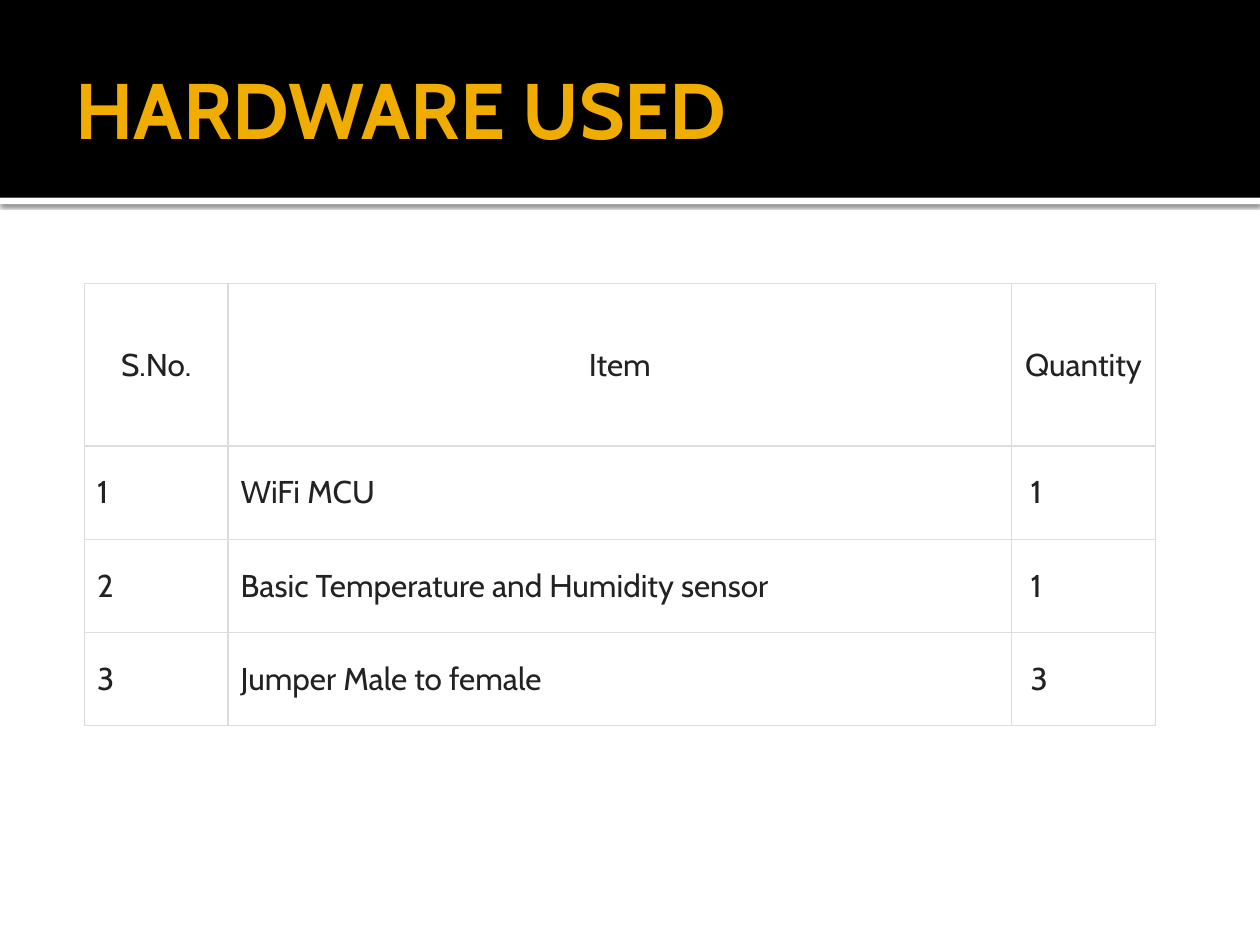
from lxml import etree
from pptx import Presentation
from pptx.dml.color import RGBColor
from pptx.enum.shapes import MSO_SHAPE as Shape
from pptx.enum.text import MSO_ANCHOR as Anchor, PP_ALIGN as Align
from pptx.oxml import parse_xml
from pptx.oxml.ns import nsdecls, qn
from pptx.util import Inches, Pt


def color(value):
    return RGBColor.from_string(value)


def write(frame, text, size=18, fill="222222", bold=False, align=Align.LEFT):
    paragraph = frame.paragraphs[0]
    paragraph.alignment = align
    run = paragraph.add_run()
    run.text = text
    run.font.name = "Cabin"
    run.font.size = Pt(size)
    run.font.bold = bold
    run.font.color.rgb = color(fill)


prs = Presentation()
prs.slide_width, prs.slide_height = Inches(10), Inches(7.5)
slide = prs.slides.add_slide(prs.slide_layouts[5])

heading = slide.shapes.title
for top, height, fill in [(1.57, 0.05, "FFFFFF"), (0, 1.57, "000000")]:
    band = slide.shapes.add_shape(Shape.RECTANGLE, 0, Inches(top), Inches(10), Inches(height))
    band.fill.solid()
    band.fill.fore_color.rgb = color(fill)
    band.line.fill.background()
    band.shadow.inherit = False
    heading.element.addprevious(band.element)
    if fill == "FFFFFF":
        effects = band.element.spPr.find(qn("a:effectLst"))
        effects.append(parse_xml(
            f'<a:outerShdw {nsdecls("a")} blurRad="{Pt(2.5)}" dist="{Pt(0.8)}" dir="5400000" '
            'algn="tl" rotWithShape="0"><a:srgbClr val="000000"><a:alpha val="60000"/>'
            '</a:srgbClr></a:outerShdw>'))

heading.left, heading.top = Inches(0.5), Inches(0.17)
heading.width, heading.height = Inches(9), Inches(1.37)
title_frame = heading.text_frame
title_frame.vertical_anchor = Anchor.MIDDLE
title_frame.margin_left = Inches(0.1)
title_frame.margin_right = Inches(0.05)
title_frame.margin_top = title_frame.margin_bottom = Inches(0.05)
write(title_frame, "HARDWARE USED", size=45, fill="F0AD00", bold=True)

parts = [
    ("S.No.", "Item", "Quantity"),
    ("1", "WiFi MCU", "1"),
    ("2", "Basic Temperature and Humidity sensor", "1"),
    ("3", "Jumper Male to female", "3"),
]
table = slide.shapes.add_table(
    4, 3, Inches(0.67), Inches(2.25), Inches(8.5), Inches(3.51)).table
for column, width in zip(table.columns, [1.14, 6.22, 1.14]):
    column.width = Inches(width)
for row, height in zip(table.rows, [1.29] + [0.74] * 3):
    row.height = Inches(height)

for r, part in enumerate(parts):
    for c, text in enumerate(part):
        cell = table.cell(r, c)
        cell.vertical_anchor = Anchor.MIDDLE
        cell.margin_left = Inches(0.15 if r and c == 2 else 0.1)
        write(cell.text_frame, text, align=Align.LEFT if r else Align.CENTER)
        properties = cell._tc.get_or_add_tcPr()
        for side in ("lnL", "lnR", "lnT", "lnB"):
            border = etree.SubElement(properties, qn(f"a:{side}"), w=str(Pt(0.75)))
            border_fill = etree.SubElement(border, qn("a:solidFill"))
            etree.SubElement(border_fill, qn("a:srgbClr"), val="DDDDDD")
        cell.fill.solid()
        cell.fill.fore_color.rgb = color("FFFFFF")

prs.save("out.pptx")
